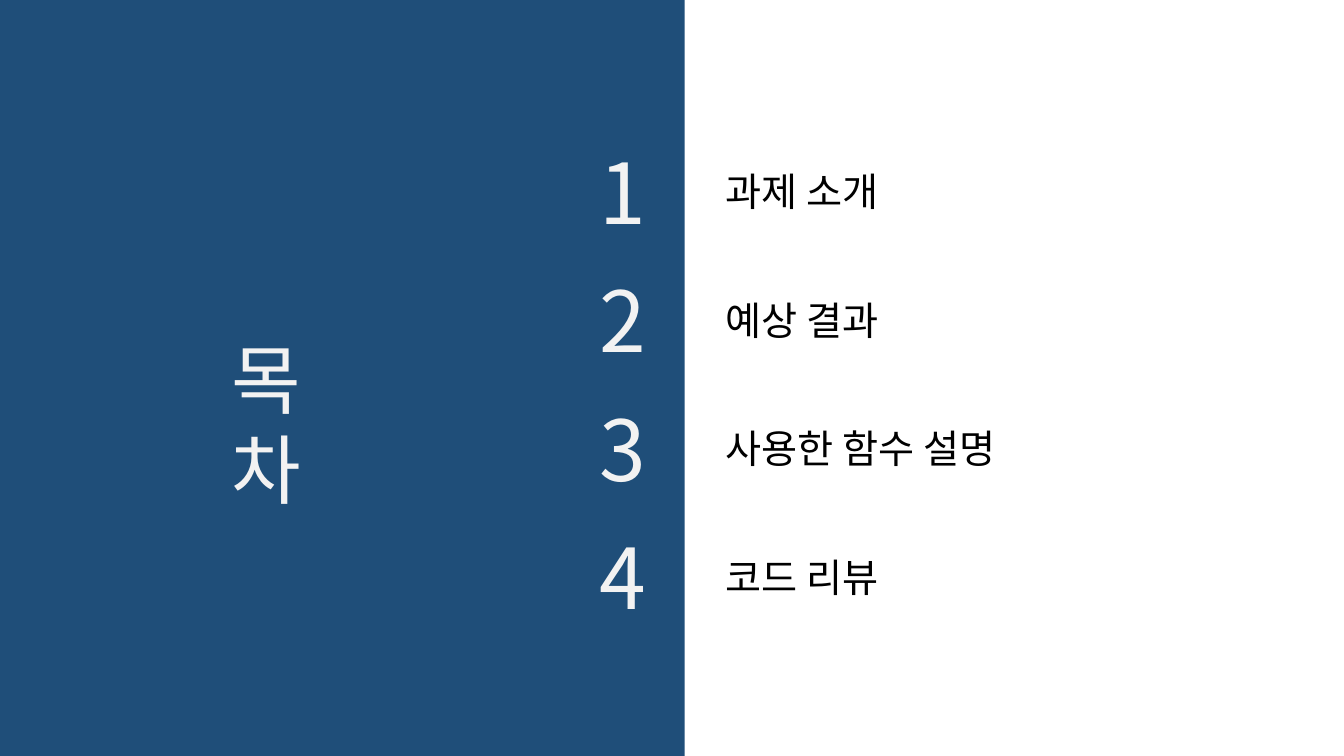
from pptx import Presentation
from pptx.dml.color import RGBColor
from pptx.enum.shapes import MSO_SHAPE
from pptx.enum.text import MSO_ANCHOR, MSO_AUTO_SIZE, PP_ALIGN
from pptx.util import Pt

NAVY = RGBColor(0x1F, 0x4E, 0x79)
PALE = RGBColor(0xF2, 0xF2, 0xF2)
BLACK = RGBColor(0, 0, 0)
FONT = "Noto Sans CJK KR"

# Agenda entries with the width of each label
ENTRIES = [("과제 소개", 137.5), ("예상 결과", 137.5),
           ("사용한 함수 설명", 232.5), ("코드 리뷰", 137.5)]
ROW_TOP, ROW_STEP = 96.5, 91.9
LABEL_DROP = 19.5


def set_text(sp, text, size, color, wrap=False):
    tf = sp.text_frame
    frame_format = {"word_wrap": wrap, "auto_size": MSO_AUTO_SIZE.SHAPE_TO_FIT_TEXT,
                    "vertical_anchor": MSO_ANCHOR.TOP}
    for name, value in frame_format.items():
        setattr(tf, name, value)
    p = tf.paragraphs[0]
    p.alignment = PP_ALIGN.LEFT
    r = p.add_run()
    r.text = text
    for name, value in {"name": FONT, "size": Pt(size)}.items():
        setattr(r.font, name, value)
    r.font.color.rgb = color


def add_block(slide, left, top, width, height):
    sp = slide.shapes.add_shape(MSO_SHAPE.RECTANGLE, Pt(left), Pt(top),
                                Pt(width), Pt(height))
    sp.shadow.inherit = False
    sp.fill.solid()
    sp.fill.fore_color.rgb = NAVY
    sp.line.fill.background()
    return sp


def add_entry(slide, index, label, width):
    top = ROW_TOP + index * ROW_STEP
    number = add_block(slide, 421.2, top, 52, 80)
    set_text(number, str(index + 1), 60, PALE)
    sp = slide.shapes.add_textbox(Pt(511.2), Pt(top + LABEL_DROP), Pt(width), Pt(41))
    set_text(sp, label, 28, BLACK)


def main():
    prs = Presentation()
    prs.slide_width, prs.slide_height = Pt(960), Pt(540)
    slide = prs.slides.add_slide(prs.slide_layouts[6])

    # Left panel
    add_block(slide, 0, 0, 489, 540)

    # Title, narrow enough to stack its two syllables
    title = add_block(slide, 158.4, 234, 111.6, 72.7)
    title.text_frame.margin_right = Pt(30)
    set_text(title, "목차", 54, PALE, wrap=True)

    # Numbered agenda
    for index, (label, width) in enumerate(ENTRIES):
        add_entry(slide, index, label, width)

    prs.save("out.pptx")


if __name__ == "__main__":
    main()
